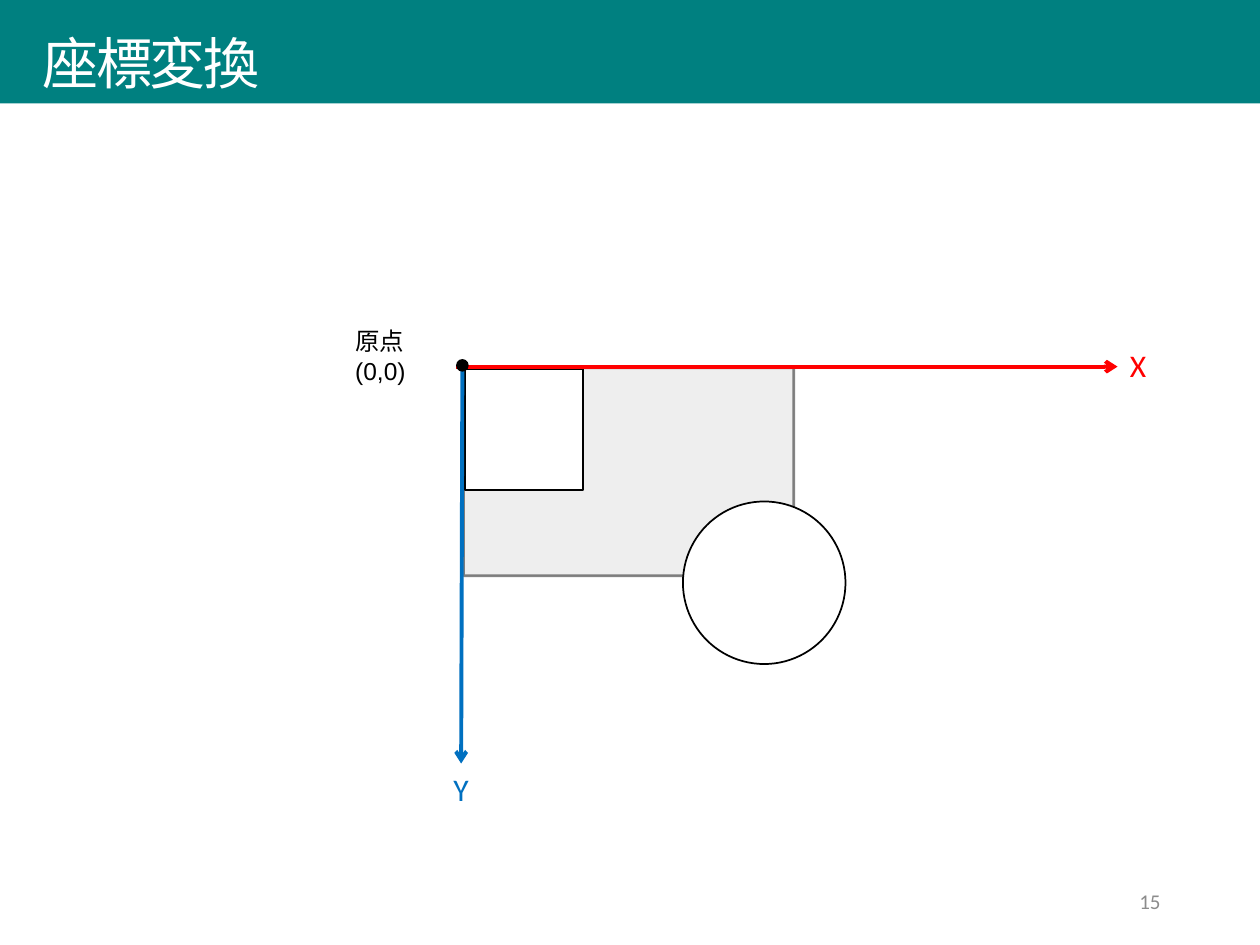
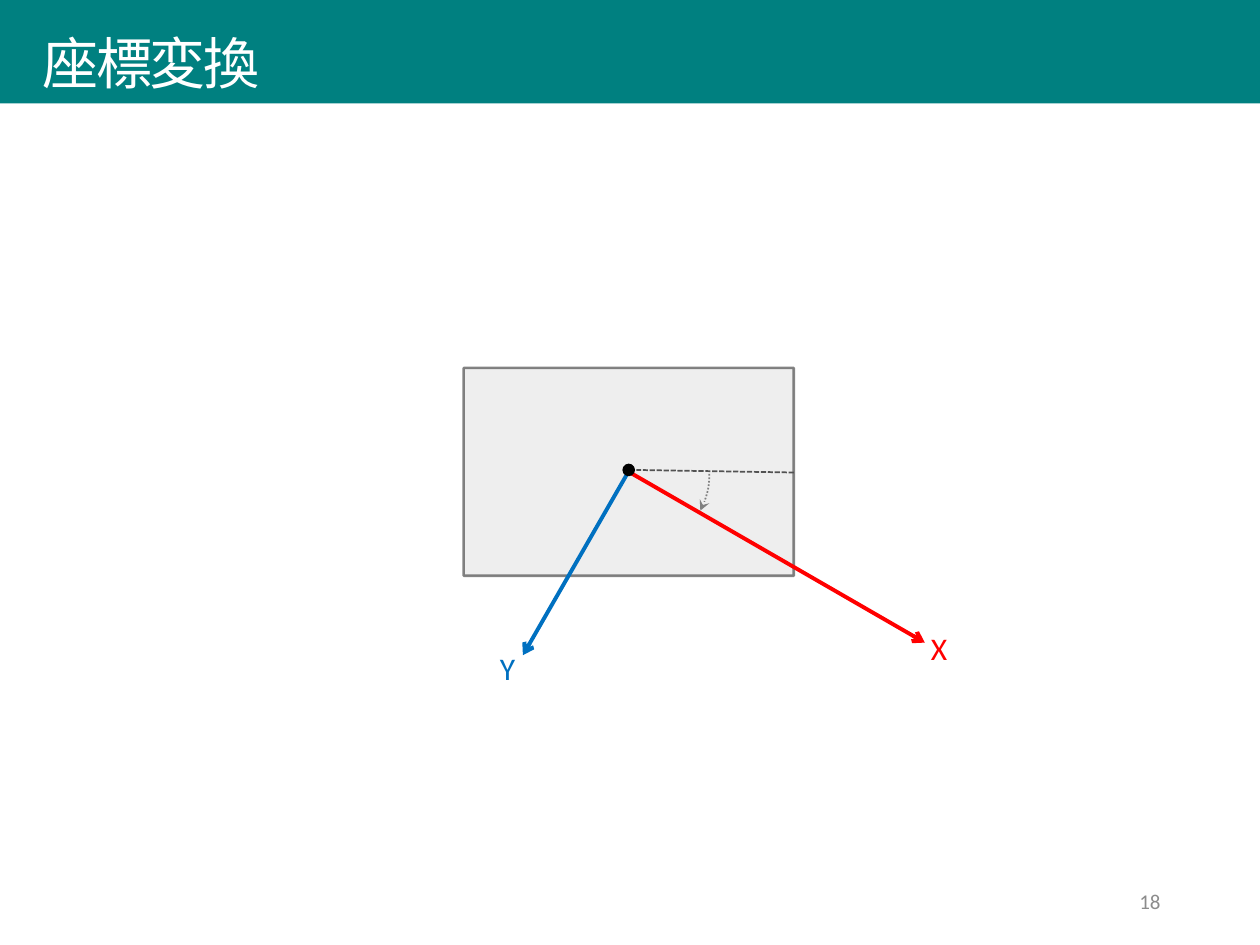
from lxml import etree
from pptx import Presentation
from pptx.dml.color import RGBColor
from pptx.enum import dml, shapes, text
from pptx.oxml import ns
from pptx.util import Inches, Pt

# Shared colours, fonts and text
TEAL = RGBColor(0x00, 0x80, 0x80)
WHITE = RGBColor(0xFF, 0xFF, 0xFF)
BLACK = RGBColor(0x00, 0x00, 0x00)
RED = RGBColor(0xFF, 0x00, 0x00)
BLUE = RGBColor(0x00, 0x70, 0xC0)
PANEL_GRAY = RGBColor(0xE7, 0xE7, 0xE7)
FRAME_GRAY = RGBColor(0x33, 0x33, 0x33)
ARC_GRAY = RGBColor(0x80, 0x80, 0x80)
DASH_GRAY = RGBColor(0x52, 0x52, 0x52)
NUMBER_GRAY = RGBColor(0x8C, 0x8C, 0x8C)
LATIN_FONT = "Calibri"
JAPANESE_FONT = "Noto Sans CJK JP"
TITLE = "座標変換"
SHAPE = shapes.MSO_SHAPE
DASH = dml.MSO_LINE_DASH_STYLE


def write(shape, content, size, color, font=LATIN_FONT, align=text.PP_ALIGN.LEFT,
          anchor=text.MSO_ANCHOR.TOP, wrap=True, grow=False, line_spacing=None, tracking=None):
    frame = shape.text_frame
    frame.text = content
    frame.word_wrap = wrap
    frame.vertical_anchor = anchor
    frame.auto_size = text.MSO_AUTO_SIZE.SHAPE_TO_FIT_TEXT if grow else text.MSO_AUTO_SIZE.NONE
    paragraph = frame.paragraphs[0]
    paragraph.alignment = align
    paragraph.line_spacing = line_spacing
    for run in paragraph.runs:
        run.font.size = Pt(size)
        run.font.name = font
        run.font.color.rgb = color
        properties = run.font._element
        etree.SubElement(properties, ns.qn("a:ea"), typeface=JAPANESE_FONT)
        if tracking is not None:
            properties.set("spc", str(round(tracking * 100)))


def style(shape, fill=None, line=None, width=1, dash=None, tail=None, opacity=None):
    """Format a shape or connector; opacity holds the percentages of fill and line."""
    properties = shape._element.spPr
    if hasattr(shape, "fill"):
        if fill is None:
            shape.fill.background()
        else:
            shape.fill.solid()
            shape.fill.fore_color.rgb = fill
    if line is None:
        shape.line.fill.background()
    else:
        shape.line.color.rgb = line
        shape.line.width = Pt(width)
        if dash is not None:
            shape.line.dash_style = dash
        if tail:
            etree.SubElement(properties.find(ns.qn("a:ln")), ns.qn("a:tailEnd"), type=tail)
    if opacity:
        for color, percent in zip(properties.iter(ns.qn("a:srgbClr")), opacity):
            etree.SubElement(color, ns.qn("a:alpha"), val=str(percent * 1000))
    etree.SubElement(properties, ns.qn("a:effectLst"))


presentation = Presentation()
presentation.slide_width, presentation.slide_height = Inches(10), Inches(7.5)

# Each view: page number, axes (from, to, label position), centre of the origin dot
views = [
    {"page": "15", "origin": (3.67, 2.90),
     "x_axis": ((3.62, 2.91), (8.87, 2.91), (8.87, 2.70)),
     "y_axis": ((3.67, 2.91), (3.66, 6.06), (3.50, 6.06))},
    {"page": "18", "origin": (4.99, 3.73),
     "x_axis": ((5.00, 3.75), (7.34, 5.10), (7.29, 4.94)),
     "y_axis": ((4.99, 3.74), (4.15, 5.20), (3.87, 5.10))},
]

for index, view in enumerate(views):
    slide = presentation.slides.add_slide(presentation.slide_layouts[5])
    items = slide.shapes

    # Title band
    title = items.title
    title.left, title.top, title.width, title.height = 0, 0, Inches(10), Inches(0.82)
    title.fill.solid()
    title.fill.fore_color.rgb = TEAL
    write(title, TITLE, 32, WHITE, font=JAPANESE_FONT, anchor=text.MSO_ANCHOR.BOTTOM,
          line_spacing=0.9, tracking=-1.5)
    title.text_frame.margin_left = Inches(0.34)

    # Canvas panel
    panel = items.add_shape(SHAPE.RECTANGLE, Inches(3.68), Inches(2.92), Inches(2.62), Inches(1.65))
    style(panel, fill=PANEL_GRAY, line=FRAME_GRAY, width=1.5, opacity=(70, 60))

    # Square at the origin of the first view
    if index == 0:
        square = items.add_shape(SHAPE.RECTANGLE, Inches(3.69), Inches(2.93),
                                 Inches(0.94), Inches(0.96))
        style(square, fill=WHITE, line=BLACK)

    # Axes with their labels
    for name, color in (("X", RED), ("Y", BLUE)):
        start, end, label_at = view[name.lower() + "_axis"]
        axis = items.add_connector(shapes.MSO_CONNECTOR.STRAIGHT,
                                   *[Inches(value) for value in start + end])
        style(axis, line=color, width=2.25, tail="arrow")
        label = items.add_textbox(*[Inches(value) for value in label_at],
                                  Inches(0.33), Inches(0.4))
        write(label, name, 18, color, wrap=False, grow=True)

    # Rotation arc of the second view
    if index == 1:
        arc = items.add_shape(SHAPE.ARC, Inches(4.35), Inches(3.12), Inches(1.28), Inches(1.28))
        arc.adjustments[0], arc.adjustments[1] = 0.068, 16.36
        style(arc, line=ARC_GRAY, dash=DASH.ROUND_DOT, tail="stealth")

    # Origin dot
    center_x, center_y = view["origin"]
    dot = items.add_shape(SHAPE.OVAL, Inches(center_x - 0.05), Inches(center_y - 0.05),
                          Inches(0.1), Inches(0.1))
    style(dot, fill=BLACK)

    if index == 0:
        # Origin label and circle
        origin_label = items.add_textbox(Inches(2.72), Inches(2.54), Inches(1.01), Inches(0.34))
        write(origin_label, "原点\v(0,0)", 14, BLACK, font="Arial", grow=True)
        circle = items.add_shape(SHAPE.OVAL, Inches(5.42), Inches(3.98), Inches(1.29), Inches(1.29))
        style(circle, fill=WHITE, line=BLACK)
    else:
        # Horizontal reference line
        reference = items.add_connector(shapes.MSO_CONNECTOR.STRAIGHT, Inches(6.3), Inches(3.75),
                                        Inches(5.05), Inches(3.73))
        style(reference, line=DASH_GRAY, dash=DASH.SQUARE_DOT)

    # Page number
    number = items.add_textbox(Inches(7.06), Inches(6.95), Inches(2.25), Inches(0.4))
    write(number, view["page"], 12, NUMBER_GRAY, align=text.PP_ALIGN.RIGHT,
          anchor=text.MSO_ANCHOR.MIDDLE)

presentation.save("out.pptx")
